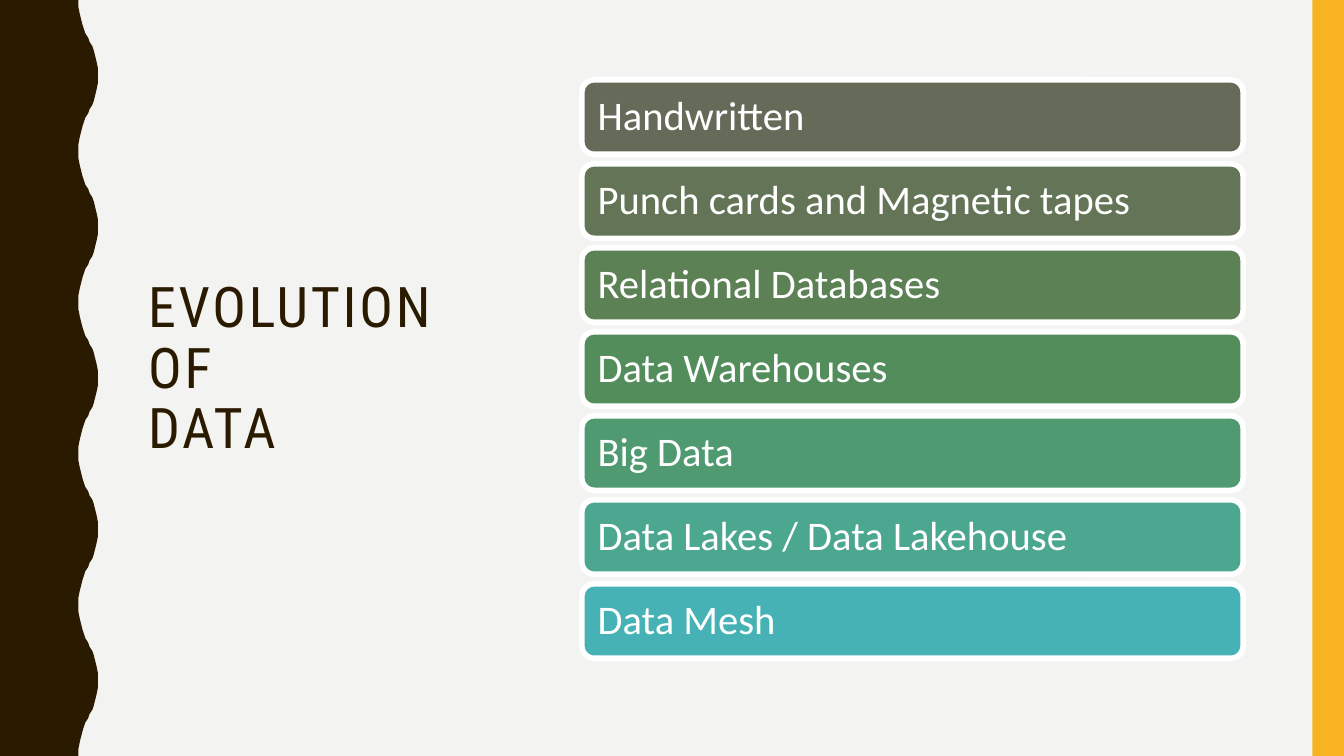
import copy
from dataclasses import dataclass

import pptx
import pptx.dml.color
import pptx.enum.shapes
import pptx.enum.text
import pptx.util

Pt = pptx.util.Pt
SHAPES = pptx.enum.shapes.MSO_SHAPE

TITLE = "EVOLUTION \vOF \vDATA"
STAGES = [
    ("Handwritten", "656A59"),
    ("Punch cards and Magnetic tapes", "647557"),
    ("Relational Databases", "5B8155"),
    ("Data Warehouses", "528D5B"),
    ("Big Data", "4F9A70"),
    ("Data Lakes / Data Lakehouse", "4BA78F"),
    ("Data Mesh", "46B2B5"),
]


@dataclass(frozen=True)
class Theme:
    background: str = "F3F3F2"
    dark: str = "2A1A00"
    accent: str = "F8B323"
    white: str = "FFFFFF"
    title_font: str = "Roboto Condensed"
    body_font: str = "Calibri"
    title_size: float = 40
    body_size: float = 29


THEME = Theme()
WIDTH, HEIGHT = 960, 540
ACCENT_WIDTH = 22.5
BAR_LEFT, BAR_TOP, BAR_WIDTH, BAR_HEIGHT, BAR_PITCH = 415.6, 57, 472.4, 53.2, 60

# Half a wave, from trough to crest: offset to the right, distance down
WAVE_LEFT, WAVE_PERIOD = 56.2, 108
HALF_WAVE = [(0, 0), (0.2, 5), (0.8, 10), (1.5, 14.5), (2.4, 18), (3.6, 21),
             (5, 24), (6.5, 27), (8, 30), (9.4, 33), (10.7, 36), (12, 39.5),
             (13, 44), (13.6, 49), (13.8, 54)]


def rgb(value):
    return pptx.dml.color.RGBColor.from_string(value)


def paint(sp, fill, line=None, line_width=4):
    sp.shadow.inherit = False
    sp.fill.solid()
    sp.fill.fore_color.rgb = rgb(fill)
    if line:
        sp.line.color.rgb = rgb(line)
        sp.line.width = Pt(line_width)
    else:
        sp.line.fill.background()


def set_text(sp, text, *, font, size, color, spacing=0, inset=None):
    """Write left-aligned, vertically centred text; a \\v starts a new line."""
    tf = sp.text_frame
    tf.word_wrap = True
    tf.auto_size = pptx.enum.text.MSO_AUTO_SIZE.NONE
    tf.vertical_anchor = pptx.enum.text.MSO_ANCHOR.MIDDLE
    if inset is not None:
        tf.margin_left = tf.margin_right = Pt(inset)
        tf.margin_top = tf.margin_bottom = Pt(inset)
    p = tf.paragraphs[0]
    p.text = text
    p.alignment = pptx.enum.text.PP_ALIGN.LEFT
    p.line_spacing = 0.9
    for r in p.runs:
        r.font.name = font
        r.font.size = Pt(size)
        r.font.color.rgb = rgb(color)
        if spacing:
            r.font._element.set("spc", str(spacing * 100))
    for br in p._p.findall(pptx.oxml.ns.qn("a:br")):
        br.append(copy.deepcopy(p.runs[0].font._element))


def wave_points():
    crest_to_trough = [(x, WAVE_PERIOD - y) for x, y in HALF_WAVE[-2::-1]]
    period = HALF_WAVE + crest_to_trough[:-1]
    points = [(WAVE_LEFT + x, top + y)
              for top in range(0, HEIGHT, WAVE_PERIOD) for x, y in period]
    return points + [(WAVE_LEFT, HEIGHT), (0, HEIGHT)]


def add_wave_edge(slide):
    builder = slide.shapes.build_freeform(0, 0, scale=Pt(1))
    builder.add_line_segments([(Pt(x) / Pt(1), y) for x, y in wave_points()], close=True)
    paint(builder.convert_to_shape(), THEME.dark)


def add_accent_edge(slide):
    sp = slide.shapes.add_shape(SHAPES.RECTANGLE, Pt(WIDTH - ACCENT_WIDTH), 0,
                                Pt(ACCENT_WIDTH), Pt(HEIGHT))
    paint(sp, THEME.accent)


def add_title(slide):
    sp = slide.shapes.title
    sp.left, sp.top, sp.width, sp.height = Pt(98.6), Pt(51), Pt(266.4), Pt(427)
    set_text(sp, TITLE, font=THEME.title_font, size=THEME.title_size,
             color=THEME.dark, spacing=2)


def add_stages(slide):
    for i, (label, fill) in enumerate(STAGES):
        sp = slide.shapes.add_shape(
            SHAPES.ROUNDED_RECTANGLE, Pt(BAR_LEFT), Pt(BAR_TOP + i * BAR_PITCH),
            Pt(BAR_WIDTH), Pt(BAR_HEIGHT))
        paint(sp, fill, line=THEME.white)
        set_text(sp, label, font=THEME.body_font, size=THEME.body_size,
                 color=THEME.white, inset=8.7)


def main():
    prs = pptx.Presentation()
    prs.slide_width, prs.slide_height = Pt(WIDTH), Pt(HEIGHT)
    slide = prs.slides.add_slide(prs.slide_layouts[5])
    slide.background.fill.solid()
    slide.background.fill.fore_color.rgb = rgb(THEME.background)
    add_wave_edge(slide)
    add_accent_edge(slide)
    add_title(slide)
    add_stages(slide)
    prs.save("out.pptx")


if __name__ == "__main__":
    main()
